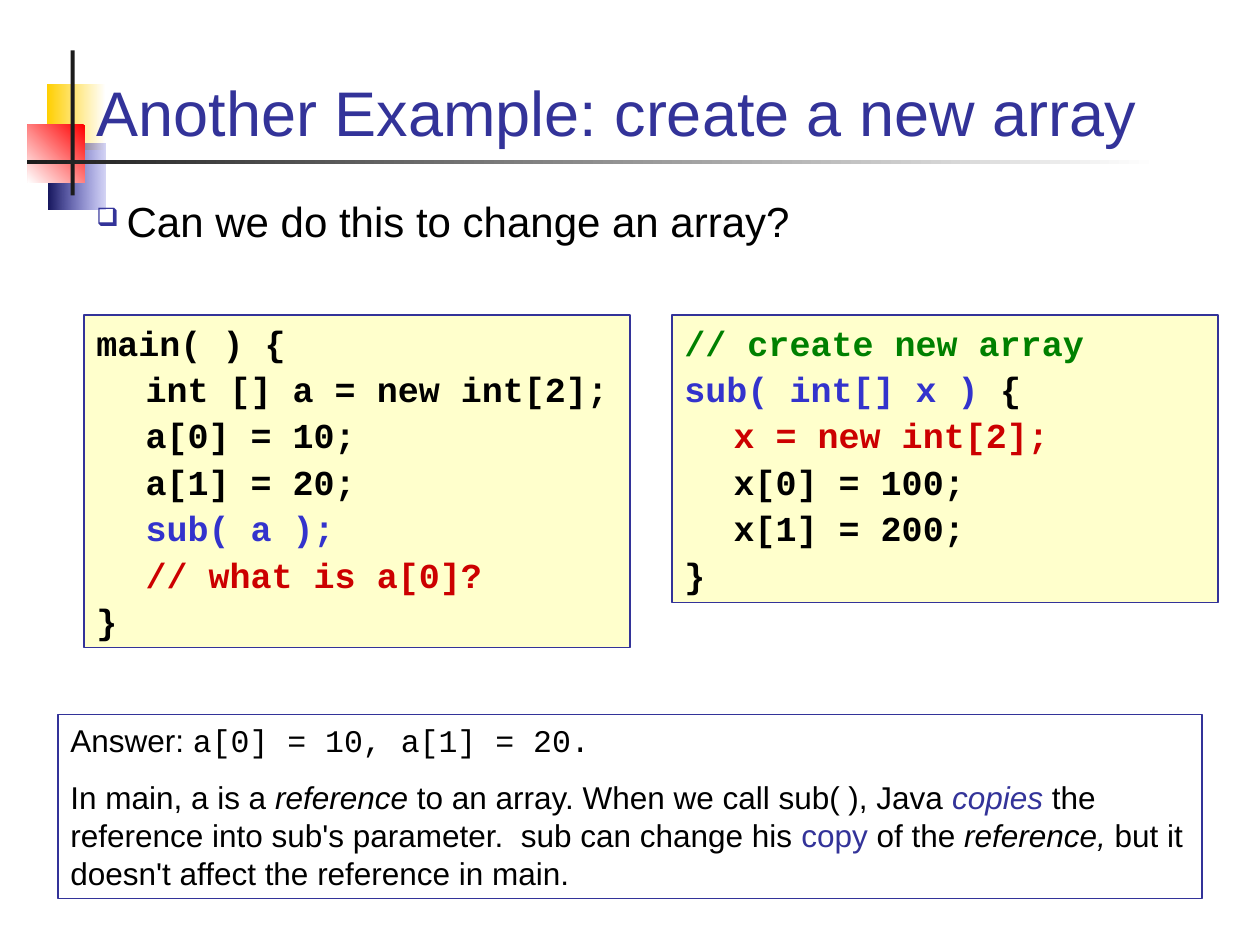
from typing import NamedTuple

from lxml import etree
from pptx import Presentation
from pptx.dml.color import RGBColor
from pptx.enum.shapes import MSO_SHAPE
from pptx.enum.text import MSO_ANCHOR, MSO_AUTO_SIZE, PP_ALIGN
from pptx.oxml.ns import qn
from pptx.util import Inches, Pt

RECTANGLE = MSO_SHAPE.RECTANGLE
LEFT = PP_ALIGN.LEFT
TOP, BOTTOM = MSO_ANCHOR.TOP, MSO_ANCHOR.BOTTOM
FIXED_SIZE = MSO_AUTO_SIZE.NONE

WHITE = RGBColor(0xFF, 0xFF, 0xFF)
BLACK = RGBColor(0x00, 0x00, 0x00)
CHARCOAL = RGBColor(0x1C, 0x1C, 0x1C)
INDIGO = RGBColor(0x33, 0x33, 0x99)
BLUE = RGBColor(0x33, 0x33, 0xCC)
NAVY = RGBColor(0x17, 0x17, 0x5E)
YELLOW = RGBColor(0xFF, 0xCF, 0x01)
RED = RGBColor(0xFF, 0x00, 0x00)
DARK_RED = RGBColor(0xCC, 0x00, 0x00)
GREEN = RGBColor(0x00, 0x80, 0x00)
CREAM = RGBColor(0xFF, 0xFF, 0xCC)

SANS, MONO = "Arial", "Courier New"
SLIDE_WIDTH, SLIDE_HEIGHT = Inches(10), Inches(7.5)
COLUMN, ROW = SLIDE_WIDTH / 15, SLIDE_HEIGHT / 15
TAB_STOP = Inches(0.39)
BULLET_INDENT = Inches(0.24)


class Area(NamedTuple):
    """Position and size in grid columns and rows."""
    column: float
    row: float
    columns: float
    rows: float

    def lengths(self) -> tuple[int, ...]:
        return tuple(round(n * unit) for n, unit in zip(self, (COLUMN, ROW) * 2))


class Run(NamedTuple):
    text: str
    format: dict = {}


class Ornament(NamedTuple):
    area: Area
    start: RGBColor
    end: RGBColor
    angle: int = 180
    start_opacity: int = 100


class Panel(NamedTuple):
    area: Area
    paragraphs: list[list[Run]]
    format: dict
    space_before: float
    fill: RGBColor | None = None


ORNAMENTS = [
    Ornament(Area(0.56, 1.34, 0.7, 1.04), WHITE, YELLOW),
    Ornament(Area(0.58, 2.28, 0.68, 1.04), BLUE, NAVY, start_opacity=20),
    Ornament(Area(0.33, 1.98, 0.68, 0.92), RED, WHITE, angle=225),
    Ornament(Area(0.84, 0.8, 0.05, 2.3), CHARCOAL, CHARCOAL),
    Ornament(Area(0.32, 2.54, 13.48, 0.06), WHITE, CHARCOAL),
]

TITLE_AREA = Area(1, 0.56, 13, 1.9)
QUESTION_AREA = Area(1, 3, 13, 1.84)
TITLE_FORMAT = {"name": SANS, "size": Pt(36), "bold": False}
QUESTION_FORMAT = {"name": SANS, "size": Pt(24)}
CODE_FORMAT = {"name": MONO, "size": Pt(20), "bold": True}
ANSWER_FORMAT = {"name": SANS, "size": Pt(18)}
ITALIC = {"italic": True}

MAIN_CODE = [
    [Run("main( ) {")],
    [Run("\tint [] a = new int[2];")],
    [Run("\ta[0] = 10;")],
    [Run("\ta[1] = 20;")],
    [Run("\tsub( a );", {"color": BLUE})],
    [Run("\t// what is a[0]?", {"color": DARK_RED})],
    [Run("}")],
]
SUB_CODE = [
    [Run("// create new array", {"color": GREEN})],
    [Run("sub( int[] x )", {"color": BLUE}), Run(" {")],
    [Run("\tx = new int[2];", {"color": DARK_RED})],
    [Run("\tx[0] = 100;")],
    [Run("\tx[1] = 200;")],
    [Run("}")],
]
ANSWER = [
    [Run("Answer: "), Run("a[0] = 10, a[1] = 20.", {"name": MONO})],
    [
        Run("In main, a is a "),
        Run("reference", ITALIC),
        Run(" to an array. When we call sub( ), Java "),
        Run("copies", {"color": INDIGO, "italic": True}),
        Run(" the reference into sub's parameter.  sub can change his "),
        Run("copy", {"color": INDIGO}),
        Run(" of the "),
        Run("reference,", ITALIC),
        Run(" but it doesn't affect the reference in main."),
    ],
]

PANELS = [
    Panel(Area(1, 5, 6.5, 5.28), MAIN_CODE, CODE_FORMAT, 2.5, CREAM),
    Panel(Area(8, 5, 6.5, 4.56), SUB_CODE, CODE_FORMAT, 2.5, CREAM),
    Panel(Area(0.69, 11.34, 13.62, 2.92), ANSWER, ANSWER_FORMAT, 11.2),
]


def add_run(paragraph, run: Run, base: dict) -> None:
    part = paragraph.add_run()
    part.text = run.text
    for name, value in ({"color": BLACK} | base | run.format).items():
        if name == "color":
            part.font.color.rgb = value
        else:
            setattr(part.font, name, value)


def set_frame(frame, anchor=TOP) -> None:
    settings = {
        "word_wrap": True, "auto_size": FIXED_SIZE, "vertical_anchor": anchor,
        "margin_left": Inches(0.1), "margin_right": Inches(0.1),
        "margin_top": Inches(0.05), "margin_bottom": Inches(0.05),
    }
    for name, value in settings.items():
        setattr(frame, name, value)


def add_rectangle(slide, area: Area):
    shape = slide.shapes.add_shape(RECTANGLE, *area.lengths())
    shape.shadow.inherit = False
    return shape


def add_ornament(slide, ornament: Ornament):
    shape = add_rectangle(slide, ornament.area)
    shape.line.fill.background()
    if ornament.start == ornament.end:
        shape.fill.solid()
        shape.fill.fore_color.rgb = ornament.start
        return shape
    shape.fill.gradient()
    shape.fill.gradient_angle = ornament.angle
    stops = shape.fill.gradient_stops
    for stop, color, position in zip(stops, (ornament.start, ornament.end), (0, 1)):
        stop.color.rgb = color
        stop.position = position
    if ornament.start_opacity < 100:
        start_color = next(shape.element.iter(qn("a:srgbClr")))
        etree.SubElement(start_color, qn("a:alpha"), val=str(ornament.start_opacity * 1000))
    return shape


def add_title(slide, text: str):
    title = slide.shapes.title
    title.left, title.top, title.width, title.height = TITLE_AREA.lengths()
    set_frame(title.text_frame, BOTTOM)
    paragraph = title.text_frame.paragraphs[0]
    paragraph.alignment = LEFT
    add_run(paragraph, Run(text, {"color": INDIGO}), TITLE_FORMAT)
    return title


def add_question(slide, text: str) -> None:
    frame = slide.shapes.add_textbox(*QUESTION_AREA.lengths()).text_frame
    set_frame(frame)
    paragraph = frame.paragraphs[0]
    properties = paragraph._p.get_or_add_pPr()
    properties.set("marL", str(BULLET_INDENT))
    properties.set("indent", str(-BULLET_INDENT))
    bullet_color = etree.SubElement(properties, qn("a:buClr"))
    etree.SubElement(bullet_color, qn("a:srgbClr"), val=str(INDIGO))
    etree.SubElement(properties, qn("a:buSzPct"), val="60000")
    etree.SubElement(properties, qn("a:buChar"), char="❑")
    add_run(paragraph, Run(text), QUESTION_FORMAT)


def add_panel(slide, panel: Panel) -> None:
    shape = add_rectangle(slide, panel.area)
    if panel.fill is None:
        shape.fill.background()
    else:
        shape.fill.solid()
        shape.fill.fore_color.rgb = panel.fill
    shape.line.color.rgb = INDIGO
    shape.line.width = Pt(0.75)
    frame = shape.text_frame
    set_frame(frame)
    for index, runs in enumerate(panel.paragraphs):
        paragraph = frame.add_paragraph() if index else frame.paragraphs[0]
        tabs = etree.SubElement(paragraph._p.get_or_add_pPr(), qn("a:tabLst"))
        etree.SubElement(tabs, qn("a:tab"), pos=str(TAB_STOP), algn="l")
        paragraph.alignment = LEFT
        paragraph.space_before = Pt(panel.space_before if index else 0)
        for run in runs:
            add_run(paragraph, run, panel.format)


def main() -> None:
    deck = Presentation()
    deck.slide_width, deck.slide_height = SLIDE_WIDTH, SLIDE_HEIGHT
    slide = deck.slides.add_slide(deck.slide_layouts.get_by_name("Title Only"))
    title = add_title(slide, "Another Example: create a new array")
    ornaments = [add_ornament(slide, ornament) for ornament in ORNAMENTS]
    ornaments[-1].element.addnext(title.element)
    add_question(slide, "Can we do this to change an array?")
    for panel in PANELS:
        add_panel(slide, panel)
    deck.save("out.pptx")


if __name__ == "__main__":
    main()
